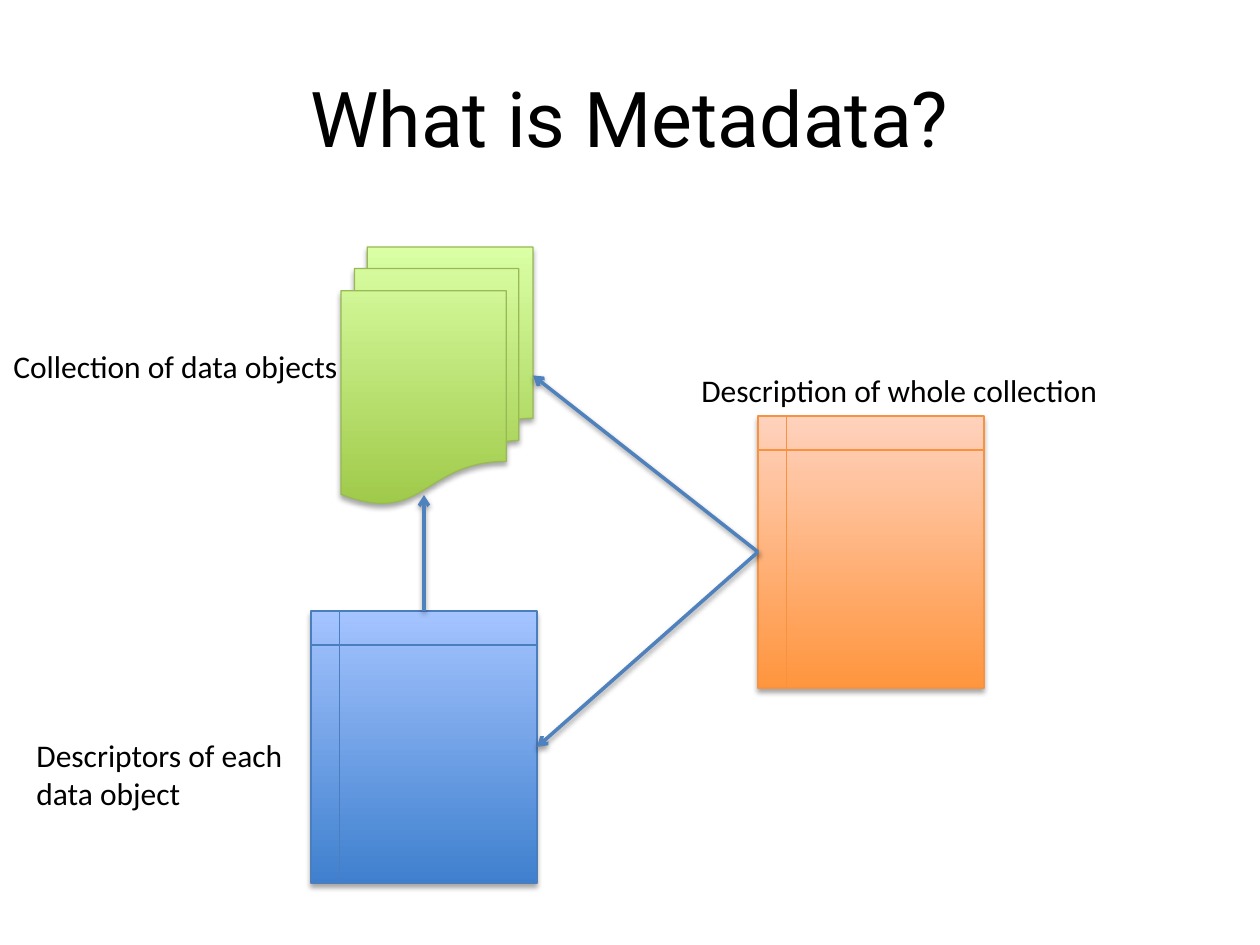
"""Build the slide that explains metadata with linked document shapes."""
from lxml.etree import SubElement
from pptx import Presentation
from pptx.dml.color import RGBColor
from pptx.enum.shapes import MSO_CONNECTOR, MSO_SHAPE
from pptx.enum.text import MSO_ANCHOR, MSO_AUTO_SIZE, PP_ALIGN
from pptx.oxml.ns import qn
from pptx.util import Emu, Pt

PX = 914400 / 126
TOP, LEFT, RIGHT = 0, 1, 3

TITLE = ("What is Metadata?", (63, 38, 1134, 157))
DOCUMENTS = {
    "objects": (MSO_SHAPE.FLOWCHART_MULTIDOCUMENT, (341, 247, 192, 257), "A0CA4A", "DAFFA5", "98B955"),
    "descriptors": (MSO_SHAPE.FLOWCHART_INTERNAL_STORAGE, (311, 611, 226, 272), "3F80CE", "A4C4FF", "4B7EBC"),
    "description": (MSO_SHAPE.FLOWCHART_INTERNAL_STORAGE, (758, 416, 226, 272), "FF953E", "FFD2BD", "F69240"),
}
ARROWS = [
    ("description", LEFT, "objects", RIGHT),
    ("description", LEFT, "descriptors", RIGHT),
]
UP_ARROW_END = (424, 495)
LABELS = [
    ("Collection of data objects", (1, 341, 354, 50)),
    ("Description of whole collection", (689, 365, 426, 50)),
    ("Descriptors of each\ndata object", (24, 730, 274, 89)),
]


def px(*lengths):
    return [Emu(round(length * PX)) for length in lengths]


def color(value):
    return RGBColor.from_string(value)


def style_text(frame, font, size):
    for paragraph in frame.paragraphs:
        for span in paragraph.runs:
            span.font.name = font
            span.font.size = Pt(size)
            span.font.color.rgb = color("000000")


def add_shadow(shape, distance, opacity):
    effects = SubElement(shape._element.spPr, qn("a:effectLst"))
    shadow = SubElement(effects, qn("a:outerShdw"), blurRad=str(Pt(3.1)), dist=str(Pt(distance)),
                        dir="5400000", rotWithShape="0")
    black = SubElement(shadow, qn("a:srgbClr"), val="000000")
    SubElement(black, qn("a:alpha"), val=str(opacity * 1000))


def add_document(page, kind, place, bottom, top, outline):
    shape = page.shapes.add_shape(kind, *px(*place))
    shape.fill.gradient()
    shape.fill.gradient_angle = 90
    for stop, value in zip(shape.fill.gradient_stops, (bottom, top)):
        stop.color.rgb = color(value)
    shape.line.color.rgb = color(outline)
    shape.line.width = Pt(0.75)
    add_shadow(shape, 1.8, 35)
    return shape


def add_arrow(page, source, source_side, end=(0, 0), target=None, target_side=None):
    arrow = page.shapes.add_connector(MSO_CONNECTOR.STRAIGHT, 0, 0, *px(*end))
    arrow.begin_connect(source, source_side)
    if target is not None:
        arrow.end_connect(target, target_side)
    arrow.line.color.rgb = color("4F81BD")
    arrow.line.width = Pt(2)
    SubElement(arrow.line._get_or_add_ln(), qn("a:tailEnd"), type="arrow")
    add_shadow(arrow, 1.6, 38)


def add_label(page, text, place):
    box = page.shapes.add_textbox(*px(*place))
    frame = box.text_frame
    frame.text = text
    frame.word_wrap = False
    frame.auto_size = MSO_AUTO_SIZE.SHAPE_TO_FIT_TEXT
    style_text(frame, "Calibri", 18)


def add_title(page, text, place):
    title = page.shapes.title
    title.left, title.top, title.width, title.height = px(*place)
    frame = title.text_frame
    frame.text = text
    frame.vertical_anchor = MSO_ANCHOR.MIDDLE
    frame.paragraphs[0].alignment = PP_ALIGN.CENTER
    style_text(frame, "Roboto", 44)


def main():
    deck = Presentation()
    deck.slide_width, deck.slide_height = px(1260, 945)
    page = deck.slides.add_slide(deck.slide_layouts[5])
    add_title(page, *TITLE)
    documents = {name: add_document(page, *details) for name, details in DOCUMENTS.items()}
    for source, source_side, target, target_side in ARROWS:
        add_arrow(page, documents[source], source_side, target=documents[target], target_side=target_side)
    add_arrow(page, documents["descriptors"], TOP, end=UP_ARROW_END)
    for text, place in LABELS:
        add_label(page, text, place)
    deck.save("out.pptx")


if __name__ == "__main__":
    main()
